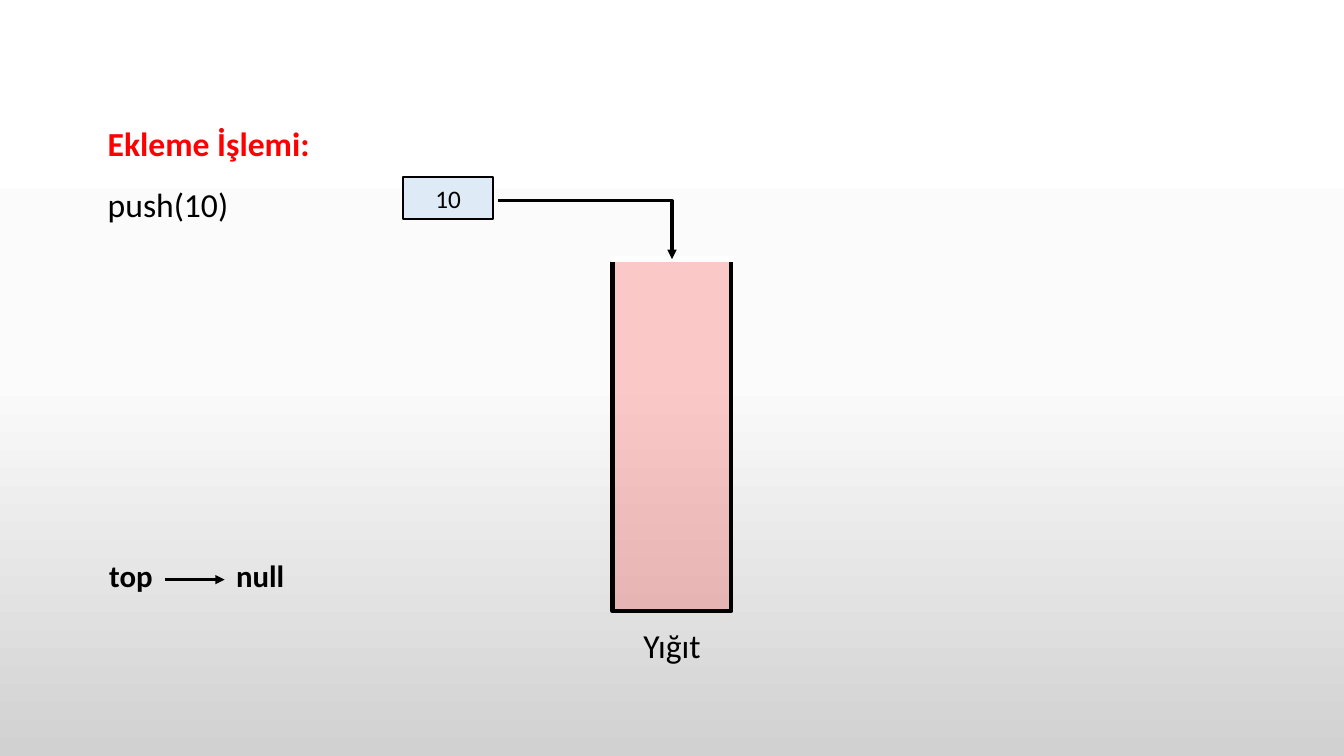
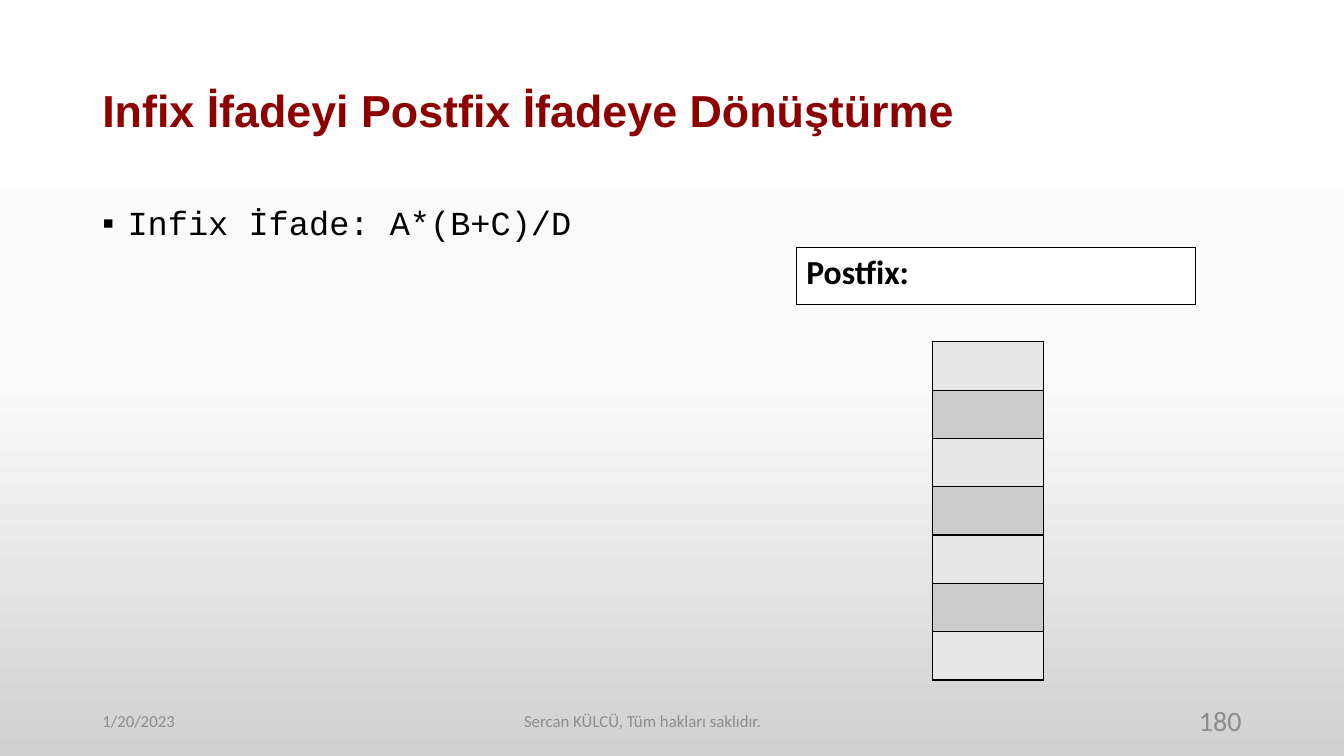
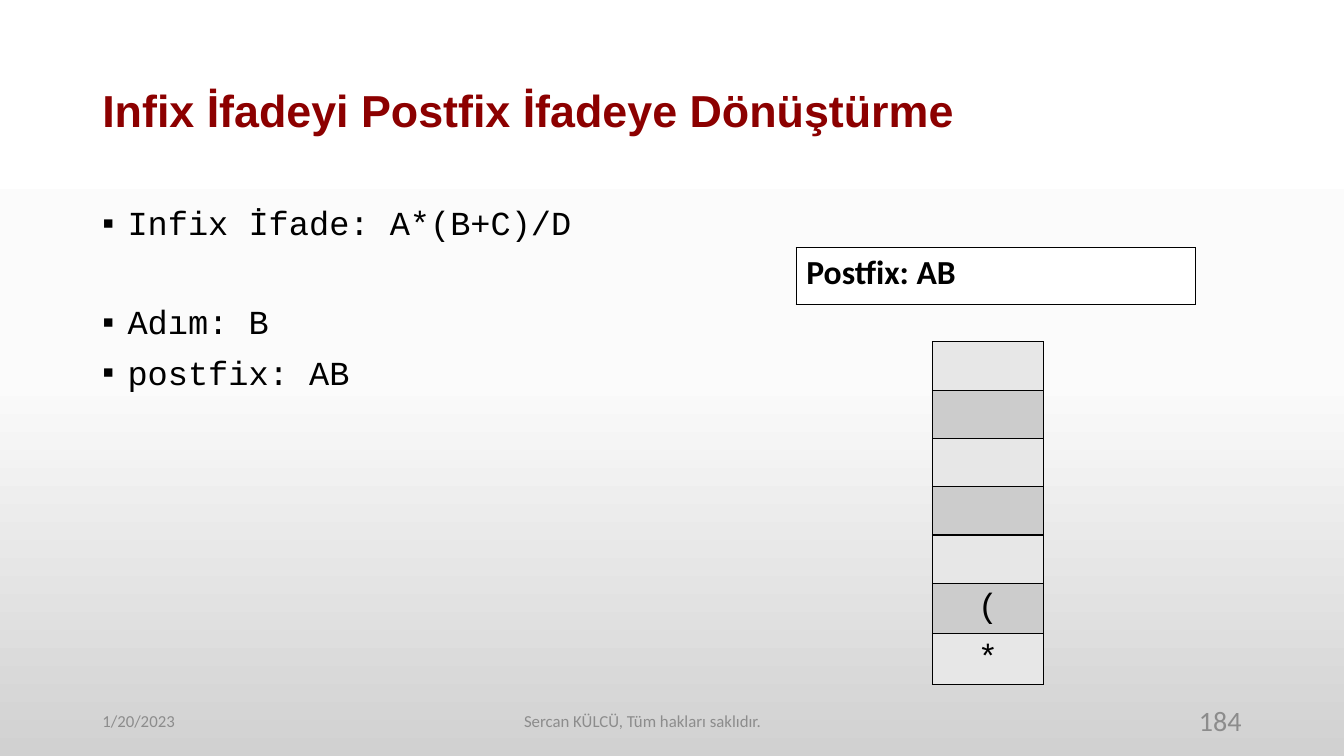
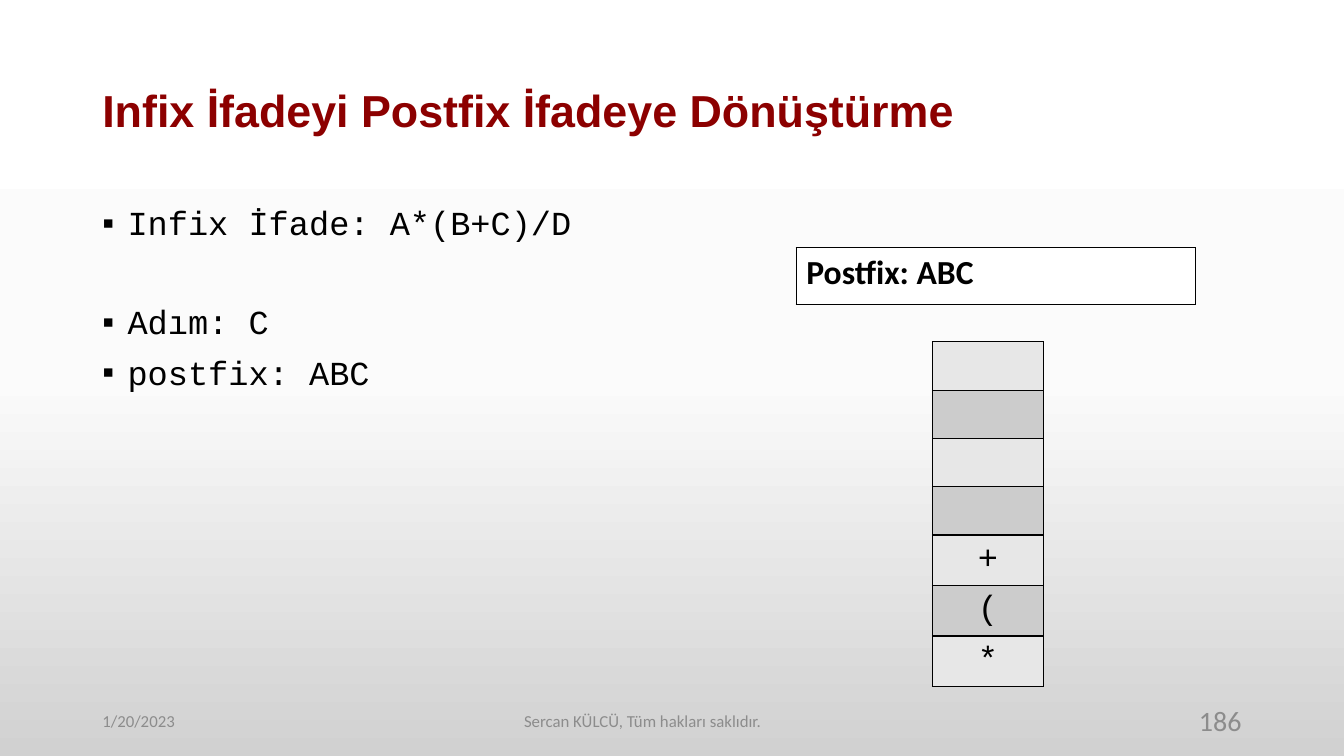
from copy import deepcopy

from pptx import Presentation
from pptx.dml.color import RGBColor
from pptx.enum.shapes import MSO_CONNECTOR, MSO_SHAPE
from pptx.enum.text import MSO_ANCHOR, PP_ALIGN
from pptx.oxml import parse_xml
from pptx.oxml.ns import nsdecls, qn
from pptx.util import Inches, Pt

LEFT, CENTER, RIGHT = PP_ALIGN.LEFT, PP_ALIGN.CENTER, PP_ALIGN.RIGHT
TOP, MIDDLE = MSO_ANCHOR.TOP, MSO_ANCHOR.MIDDLE
RECT = MSO_SHAPE.RECTANGLE
STRAIGHT, ELBOW = MSO_CONNECTOR.STRAIGHT, MSO_CONNECTOR.ELBOW

COLS, ROWS = 32, 18
MARGIN, CONTENT = 2.2, 27.6
CENTER_COL = COLS / 2
STACK_SIZE = 7
BLACK, WHITE, RED, GRAY = "000000", "FFFFFF", "FF0000", "8C8C8C"
BACKGROUND = [(0, WHITE), (0.5, "FBFBFB"), (1, "D1D1D1")]
BANDS = ["E7E7E7", "CCCCCC"]

STYLES = {
    "title": dict(name="Arial", size=Pt(32), bold=True, color="8C0000"),
    "code": dict(name="Courier New", size=Pt(24), color=BLACK),
    "label": dict(name="Calibri", size=Pt(24), color=BLACK),
    "heading": dict(name="Calibri", size=Pt(24), bold=True, color=RED),
    "result": dict(name="Calibri", size=Pt(24), bold=True, color=BLACK),
    "value": dict(name="Calibri", size=Pt(18), color=BLACK),
    "pointer": dict(name="Calibri", size=Pt(22), bold=True, color=BLACK),
    "footer": dict(name="Calibri", size=Pt(12), color=GRAY),
    "number": dict(name="Calibri", size=Pt(20), color=GRAY),
}
BULLET_GAP, STEP_GAP = Pt(10), Pt(45)


def rgb(value):
    return RGBColor.from_string(value)


def xml(tag, attrs="", inner=""):
    return parse_xml(f"<a:{tag} {nsdecls('a')} {attrs}>{inner}</a:{tag}>")


def centered(top, width, height):
    return CENTER_COL - width / 2, top, width, height


class Deck:
    """Holds the presentation, its style and the slide being built."""

    def __init__(self):
        self.prs = Presentation()
        self.prs.slide_width, self.prs.slide_height = Inches(13.33), Inches(7.5)
        self.col = self.prs.slide_width / COLS
        self.row = self.prs.slide_height / ROWS
        master = self.prs.slide_master
        fill = master.background.fill
        fill.gradient()
        fill.gradient_angle = 270
        stops = master.element.find(".//" + qn("a:gsLst"))
        stops.append(deepcopy(stops[-1]))
        for stop, (position, color) in zip(fill.gradient_stops, BACKGROUND):
            stop.position = position
            stop.color.rgb = rgb(color)

    def new_slide(self):
        self.s = self.prs.slides.add_slide(self.prs.slide_layouts[6])

    def place(self, *lengths):
        """Turn alternating columns and rows into slide units."""
        return [round(n * (self.row if i % 2 else self.col)) for i, n in enumerate(lengths)]

    def fill_paragraph(self, p, text, style, **paragraph):
        for key, value in paragraph.items():
            setattr(p, key, value)
        r = p.add_run()
        r.text = text
        for key, value in STYLES[style].items():
            if key == "color":
                r.font.color.rgb = rgb(value)
            else:
                setattr(r.font, key, value)

    def text(self, box, lines, anchor=TOP, wrap=True, bullet=False):
        """Add a text box; each line is (text, style, paragraph format)."""
        tf = self.s.shapes.add_textbox(*self.place(*box)).text_frame
        tf.word_wrap, tf.vertical_anchor = wrap, anchor
        for i, (text, style, paragraph) in enumerate(lines):
            p = tf.add_paragraph() if i else tf.paragraphs[0]
            if bullet:
                pPr = p._p.get_or_add_pPr()
                pPr.set("marL", str(Inches(0.25)))
                pPr.set("indent", str(-Inches(0.25)))
                pPr.append(xml("buFont", 'typeface="Arial"'))
                pPr.append(xml("buChar", 'char="▪"'))
            self.fill_paragraph(p, text, style, **paragraph)

    def rect(self, box, fill, line, width, alpha=None, text=None):
        sp = self.s.shapes.add_shape(RECT, *self.place(*box))
        sp.shadow.inherit = False
        sp.fill.solid()
        sp.fill.fore_color.rgb = rgb(fill)
        sp.line.color.rgb = rgb(line)
        sp.line.width = Pt(width)
        if alpha:
            color = sp.element.find(".//" + qn("a:srgbClr"))
            color.append(xml("alpha", f'val="{alpha * 1000}"'))
        if text:
            sp.text_frame.vertical_anchor = MIDDLE
            self.fill_paragraph(sp.text_frame.paragraphs[0], text, "value", alignment=CENTER)

    def arrow(self, start, end, kind=STRAIGHT):
        c = self.s.shapes.add_connector(kind, *self.place(*start, *end))
        c.line.color.rgb = rgb(BLACK)
        c.line.width = Pt(2.25)
        spPr = c.element.spPr
        spPr.find(qn("a:ln")).append(xml("tailEnd", 'type="triangle"'))
        spPr.append(xml("effectLst"))
        if kind == ELBOW:
            spPr.find(qn("a:prstGeom")).set("prst", "bentConnector2")

    def table(self, left, top, width, row_height, values, style, fills, align=LEFT, anchor=TOP):
        """Add a one-column table whose fills alternate by row."""
        box = self.place(left, top, width, row_height * len(values))
        table = self.s.shapes.add_table(len(values), 1, *box).table
        table.first_row = table.horz_banding = False
        for i, value in enumerate(values):
            cell = table.cell(i, 0)
            cell.vertical_anchor = anchor
            cell.fill.solid()
            cell.fill.fore_color.rgb = rgb(fills[i % len(fills)])
            tcPr = cell._tc.get_or_add_tcPr()
            for j, side in enumerate(("lnL", "lnR", "lnT", "lnB")):
                line = f'<a:solidFill><a:srgbClr val="{BLACK}"/></a:solidFill>'
                tcPr.insert(j, xml(side, f'w="{Pt(1)}"', line))
            if value:
                self.fill_paragraph(cell.text_frame.paragraphs[0], value, style, alignment=align)

    def title(self, text):
        line = (text, "title", dict(line_spacing=0.9))
        self.text((MARGIN, 0.96, CONTENT, 3.48), [line], MIDDLE)

    def footer(self, number):
        for left, width, text, style, align in (
            (MARGIN, 7.2, "1/20/2023", "footer", LEFT),
            (6.2, 18.2, "Sercan KÜLCÜ, Tüm hakları saklıdır.", "footer", CENTER),
            (22.6, 7.2, str(number), "number", RIGHT),
        ):
            self.text((left, 16.68, width, 0.96), [(text, style, dict(alignment=align))], MIDDLE)

    def push_slide(self):
        self.new_slide()
        self.rect(centered(6.17, 2.83, 8.38), RED, BLACK, 3, alpha=20)
        self.rect(centered(6.12, 2.93, 0.1), WHITE, WHITE, 1)
        self.text(centered(14.76, 1.87, 1.2), [("Yığıt", "label", dict(alignment=CENTER))], wrap=False)
        spacing = dict(line_spacing=1.5)
        self.text((2.33, 2.33, 5.33, 3), [("Ekleme İşlemi:", "heading", spacing),
                                          ("push(10)", "label", spacing)], wrap=False)
        self.rect((9.6, 4.22, 2.14, 1), "DEEBF7", BLACK, 1, text="10")
        self.arrow((11.86, 4.78), (CENTER_COL, 6.17), ELBOW)
        for left, width, text, align in ((2.33, 1.54, "top", RIGHT), (5.38, 1.63, "null", CENTER)):
            self.text((left, 13.13, width, 1.13), [(text, "pointer", dict(alignment=align))], wrap=False)
        self.arrow((3.94, 13.8), (5.35, 13.8))

    def postfix_slide(self, number, result, steps, stack):
        """Show one conversion step; stack holds its symbols from the top."""
        self.new_slide()
        self.title("Infix İfadeyi Postfix İfadeye Dönüştürme")
        gaps = [Pt(0), STEP_GAP, BULLET_GAP]
        lines = [(text, "code", dict(line_spacing=0.9, space_before=gap))
                 for text, gap in zip(["Infix İfade: A*(B+C)/D", *steps], gaps)]
        self.text((MARGIN, 4.8, CONTENT, 12.29), lines, bullet=True)
        self.footer(number)
        self.table(18.96, 5.9, 9.5, 1.35, [result], "result", [WHITE])
        cells = [""] * (STACK_SIZE - len(stack)) + list(stack)
        self.table(22.2, 8.14, 2.65, 1.15, cells, "code", BANDS, CENTER, MIDDLE)


def main():
    deck = Deck()
    deck.push_slide()
    deck.postfix_slide(180, "Postfix:", [], "")
    deck.postfix_slide(184, "Postfix: AB", ["Adım: B", "postfix: AB"], "(*")
    deck.postfix_slide(186, "Postfix: ABC", ["Adım: C", "postfix: ABC"], "+(*")
    deck.prs.save("out.pptx")


if __name__ == "__main__":
    main()
